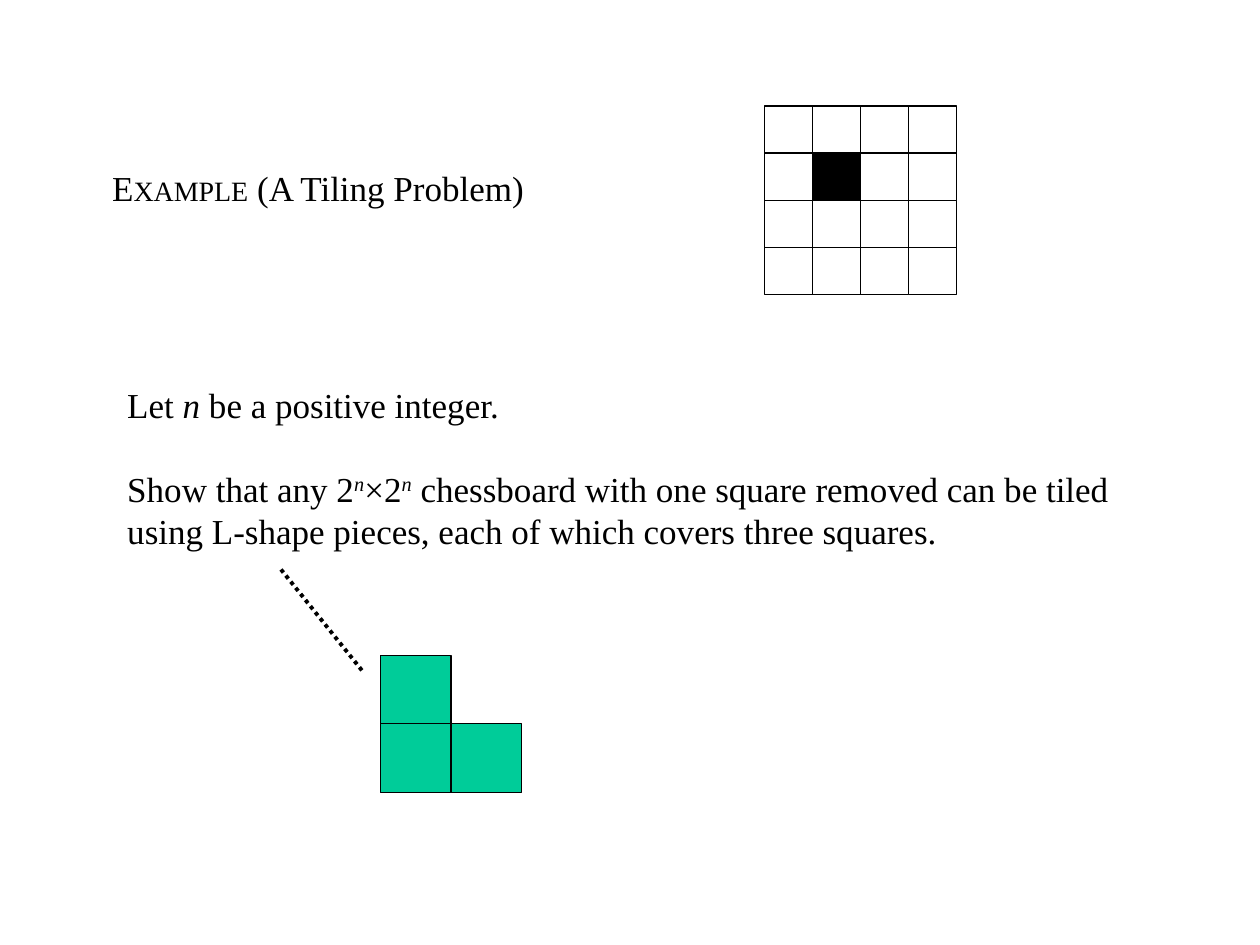
from dataclasses import dataclass
from typing import Optional

from lxml import etree
from pptx import Presentation
from pptx.dml.color import RGBColor
from pptx.enum.dml import MSO_LINE
from pptx.enum.shapes import MSO_CONNECTOR, MSO_SHAPE
from pptx.enum.text import MSO_ANCHOR, MSO_AUTO_SIZE, PP_ALIGN
from pptx.oxml.ns import qn
from pptx.util import Inches, Pt

LEFT = PP_ALIGN.LEFT
TOP = MSO_ANCHOR.TOP
NO_AUTOFIT = MSO_AUTO_SIZE.NONE
RECTANGLE = MSO_SHAPE.RECTANGLE
STRAIGHT = MSO_CONNECTOR.STRAIGHT
DOTTED = MSO_LINE.ROUND_DOT

FONT = "Times New Roman"
COLORS = {"black": "000000", "white": "FFFFFF", "tile": "00CC99"}


@dataclass
class TextRun:
    text: str
    size: float = 20
    italic: bool = False
    superscript: bool = False


@dataclass
class TextLine:
    runs: list[TextRun]
    spacing: float = 1.0


@dataclass
class Square:
    column: int
    row: int
    fill: Optional[str] = None


@dataclass
class Grid:
    left: float
    top: float
    pitch_x: float
    pitch_y: float
    squares: list[Square]


def color(name: str) -> RGBColor:
    return RGBColor.from_string(COLORS[name])


def fill_placeholder(shape, box: tuple, lines: list[TextLine]) -> None:
    shape.left, shape.top, shape.width, shape.height = map(Inches, box)
    frame = shape.text_frame
    frame.auto_size = NO_AUTOFIT
    frame.word_wrap = False
    frame.vertical_anchor = TOP
    for index, line in enumerate(lines):
        paragraph = frame.add_paragraph() if index else frame.paragraphs[0]
        properties = paragraph._p.get_or_add_pPr()
        properties.set("marL", "0")
        properties.set("indent", "0")
        etree.SubElement(properties, qn("a:buNone"))
        paragraph.alignment = LEFT
        paragraph.line_spacing = line.spacing
        paragraph.space_before = Pt(0)
        for item in line.runs:
            run = paragraph.add_run()
            run.text = item.text
            run.font.name = FONT
            run.font.size = Pt(item.size)
            run.font.italic = item.italic
            run.font.color.rgb = color("black")
            if item.superscript:
                run._r.get_or_add_rPr().set("baseline", "30000")


def draw_grid(slide, grid: Grid) -> None:
    group = slide.shapes.add_group_shape()
    for square in grid.squares:
        shape = group.shapes.add_shape(
            RECTANGLE,
            Inches(grid.left + square.column * grid.pitch_x),
            Inches(grid.top + square.row * grid.pitch_y),
            Inches(grid.pitch_x),
            Inches(grid.pitch_y),
        )
        shape.shadow.inherit = False
        if square.fill:
            shape.fill.solid()
            shape.fill.fore_color.rgb = color(square.fill)
        else:
            shape.fill.background()
        shape.line.color.rgb = color("black")
        shape.line.width = Pt(0.75)


def draw_dotted_line(slide, start: tuple, end: tuple) -> None:
    connector = slide.shapes.add_connector(STRAIGHT, *map(Inches, start + end))
    connector.line.color.rgb = color("black")
    connector.line.width = Pt(2.25)
    connector.line.dash_style = DOTTED
    etree.SubElement(connector._element.spPr, qn("a:effectLst"))


def board_fill(column: int, row: int) -> Optional[str]:
    if (column, row) == (1, 1):
        return "black"
    return "white" if column == 3 else None


def main() -> None:
    presentation = Presentation()
    presentation.slide_width = Inches(10)
    presentation.slide_height = Inches(7.5)
    slide = presentation.slides.add_slide(presentation.slide_layouts[1])

    # Title and problem statement
    exponent = TextRun("n", italic=True, superscript=True)
    title = [TextLine([TextRun("E"), TextRun("XAMPLE", size=16), TextRun(" (A Tiling Problem)")])]
    statement = [
        TextLine([TextRun("Let "), TextRun("n", italic=True), TextRun(" be a positive integer.")]),
        TextLine(
            [
                TextRun("Show that any 2"),
                exponent,
                TextRun("×2"),
                exponent,
                TextRun(" chessboard with one square removed can be tiled"),
            ],
            spacing=2.0,
        ),
        TextLine([TextRun("using L-shape pieces, each of which covers three squares.")]),
    ]
    fill_placeholder(slide.shapes.title, (0.79, 1.27, 3.49, 0.43), title)
    fill_placeholder(slide.placeholders[1], (0.91, 2.99, 8.06, 1.43), statement)

    # L-shaped piece and its pointer
    piece = [Square(column, row, "tile") for column, row in ((0, 0), (0, 1), (1, 1))]
    draw_grid(slide, Grid(3.02, 5.2, 0.56, 0.545, piece))
    draw_dotted_line(slide, (2.23, 4.52), (2.88, 5.33))

    # Chessboard with one square removed
    board = [
        Square(column, row, board_fill(column, row))
        for column in range(4)
        for row in range(4)
    ]
    draw_grid(slide, Grid(6.07, 0.84, 0.38, 0.375, board))

    presentation.save("out.pptx")


if __name__ == "__main__":
    main()
